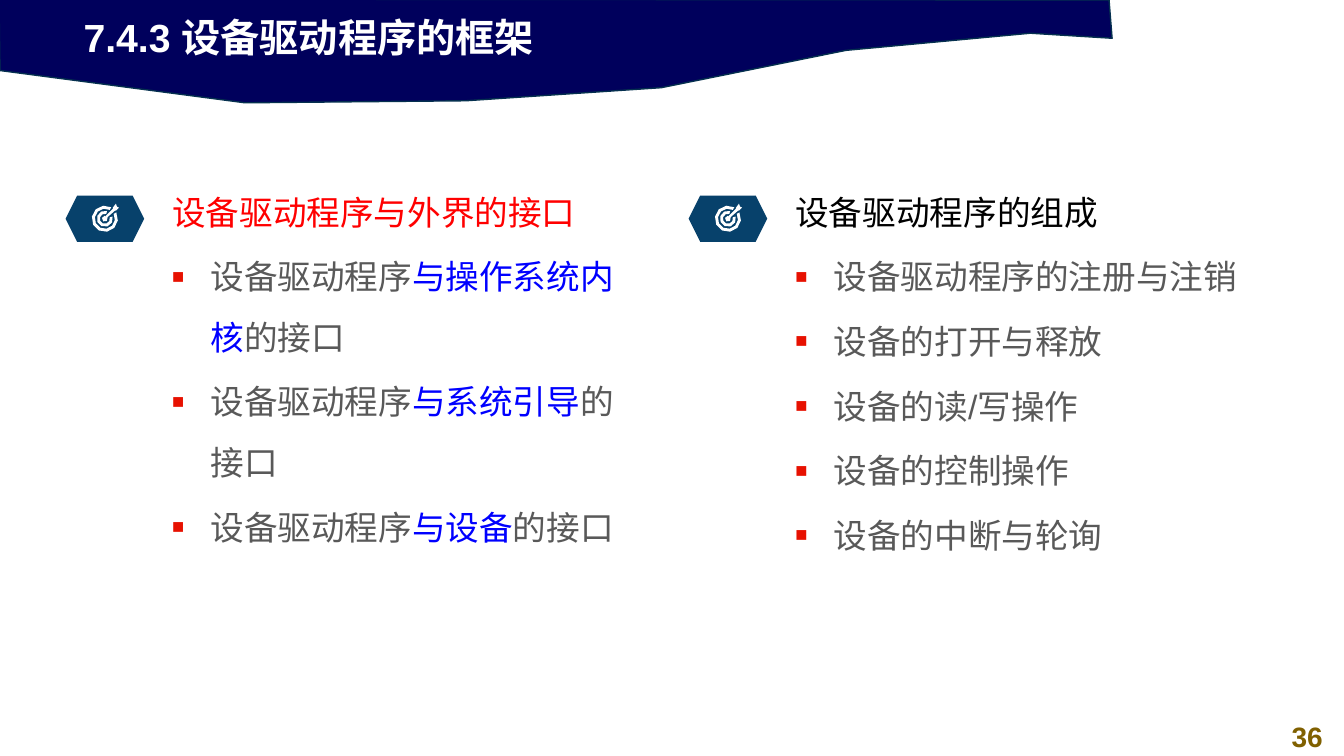
from math import cos, radians, sin

from lxml.etree import SubElement
from pptx import Presentation
from pptx.dml.color import RGBColor
from pptx.enum.shapes import MSO_SHAPE as Shape
from pptx.enum.text import PP_ALIGN as Align
from pptx.oxml.ns import qn
from pptx.util import Inches, Pt

NAVY = RGBColor(0x00, 0x00, 0x5C)
EDGE = RGBColor(0x05, 0x30, 0x4F)
TEAL = RGBColor(0x07, 0x41, 0x6B)
WHITE = RGBColor(0xFF, 0xFF, 0xFF)
BLACK = RGBColor(0x00, 0x00, 0x00)
RED = RGBColor(0xFF, 0x00, 0x00)
BLUE = RGBColor(0x00, 0x00, 0xFF)
GRAY = RGBColor(0x59, 0x59, 0x59)
GOLD = RGBColor(0x80, 0x60, 0x00)
BULLET = RGBColor(0xE7, 0x11, 0x01)

WIDTH, HEIGHT = 13.33, 7.5
INDENT = 0.38
BANNER = [(-0.01, -0.01), (0, 0.7), (2.43, 1.02), (4.62, 1), (6.56, 0.87),
          (8.39, 0.5), (10.22, 0.33), (11.03, 0.38), (11, 0)]
# Dart outline, relative to the centre of the target
DART = [(0, -0.02), (0.08, -0.1), (0.08, -0.11), (0.11, -0.15), (0.12, -0.12),
        (0.14, -0.11), (0.11, -0.08), (0.1, -0.08), (0.02, -0.01)]

COLUMNS = [
    (0.65, 4.64, "设备驱动程序与外界的接口", RED, [
        [("设备驱动程序", GRAY), (part, BLUE), ("的接口", GRAY)]
        for part in ("与操作系统内核", "与系统引导", "与设备")]),
    (6.83, 4.89, "设备驱动程序的组成", BLACK, [
        [(item, GRAY)] for item in (
            "设备驱动程序的注册与注销", "设备的打开与释放", "设备的读/写操作",
            "设备的控制操作", "设备的中断与轮询")]),
]


def add_span(para, text, size=24, color=GRAY, bold=False):
    span = para.add_run()
    span.text = text
    span.font.name = "Arial"
    span.font.size = Pt(size)
    span.font.bold = bold
    span.font.color.rgb = color


def add_frame(page, left, top, width, height):
    box = page.shapes.add_textbox(*map(Inches, (left, top, width, height)))
    box.text_frame.word_wrap = True
    return box.text_frame


def add_outline(shapes, contours, fill):
    """Draw closed contours, given in inches, as one filled shape."""
    first, *others = [[(Inches(x), Inches(y)) for x, y in contour]
                      for contour in contours]
    builder = shapes.build_freeform(*first[0], scale=1.0)
    builder.add_line_segments(first[1:], close=True)
    for contour in others:
        builder.move_to(*contour[0])
        builder.add_line_segments(contour[1:], close=True)
    shape = builder.convert_to_shape()
    shape.shadow.inherit = False
    shape.fill.solid()
    shape.fill.fore_color.rgb = fill
    shape.line.fill.background()
    return shape


def arc(radius, start, end, steps):
    angles = [radians(start + (end - start) * i / steps) for i in range(steps + 1)]
    return [(radius * cos(a), radius * sin(a)) for a in angles]


def ring(outer, inner, start, end, steps):
    return arc(outer, start, end, steps) + arc(inner, end, start, steps)


def add_header(page, title):
    banner = add_outline(page.shapes, [BANNER], NAVY)
    banner.line.color.rgb = EDGE
    banner.line.width = Pt(1)
    frame = add_frame(page, 0.73, 0.08, 7.68, 0.57)
    add_span(frame.paragraphs[0], title, size=28, color=WHITE, bold=True)


def add_page_number(page, number):
    width = 0.73
    para = add_frame(page, WIDTH - width, 7.09, width, 0.44).paragraphs[0]
    para.alignment = Align.CENTER
    add_span(para, number, size=20, color=GOLD, bold=True)


def add_badge(page, left, top, width=0.78, height=0.46):
    """Hexagon with a target and dart at its centre."""
    group = page.shapes.add_group_shape()
    hexagon = group.shapes.add_shape(
        Shape.HEXAGON, *map(Inches, (left, top, width, height)))
    hexagon.shadow.inherit = False
    hexagon.fill.solid()
    hexagon.fill.fore_color.rgb = TEAL
    hexagon.line.fill.background()
    center_x, center_y = left + width / 2, top + height / 2
    target = [ring(0.13, 0.1, -29, 299, steps=9),
              ring(0.08, 0.05, -16, 286, steps=7),
              DART + arc(0.03, -27, 270, steps=4)]
    add_outline(group.shapes, [[(center_x + x, center_y + y) for x, y in contour]
                               for contour in target], WHITE)


def add_bullet(para):
    props = para._p.get_or_add_pPr()
    props.set("marL", str(Inches(INDENT)))
    props.set("indent", str(-Inches(INDENT)))
    color = SubElement(props, qn("a:buClr"))
    SubElement(color, qn("a:srgbClr"), val=str(BULLET))
    SubElement(props, qn("a:buSzPct"), val="60000")
    SubElement(props, qn("a:buFont"), typeface="Arial")
    SubElement(props, qn("a:buChar"), char="■")


def add_column(page, left, top, width, heading, color, items):
    frame = add_frame(page, left + 0.96, top, width, 3.28)
    first = frame.paragraphs[0]
    first.line_spacing = 1.2
    add_span(first, heading, color=color)
    for item in items:
        para = frame.add_paragraph()
        para.level = 1
        add_bullet(para)
        para.line_spacing = 1.5
        para.space_before = Pt(3)
        for text, tint in item:
            add_span(para, text, color=tint)
    add_badge(page, left, top + 0.17)


def main():
    deck = Presentation()
    deck.slide_width, deck.slide_height = Inches(WIDTH), Inches(HEIGHT)
    page = deck.slides.add_slide(deck.slide_layouts[6])
    add_header(page, "7.4.3 设备驱动程序的框架")
    add_page_number(page, "36")
    for left, width, heading, color, items in COLUMNS:
        add_column(page, left, 1.77, width, heading, color, items)
    deck.save("out.pptx")


if __name__ == "__main__":
    main()
